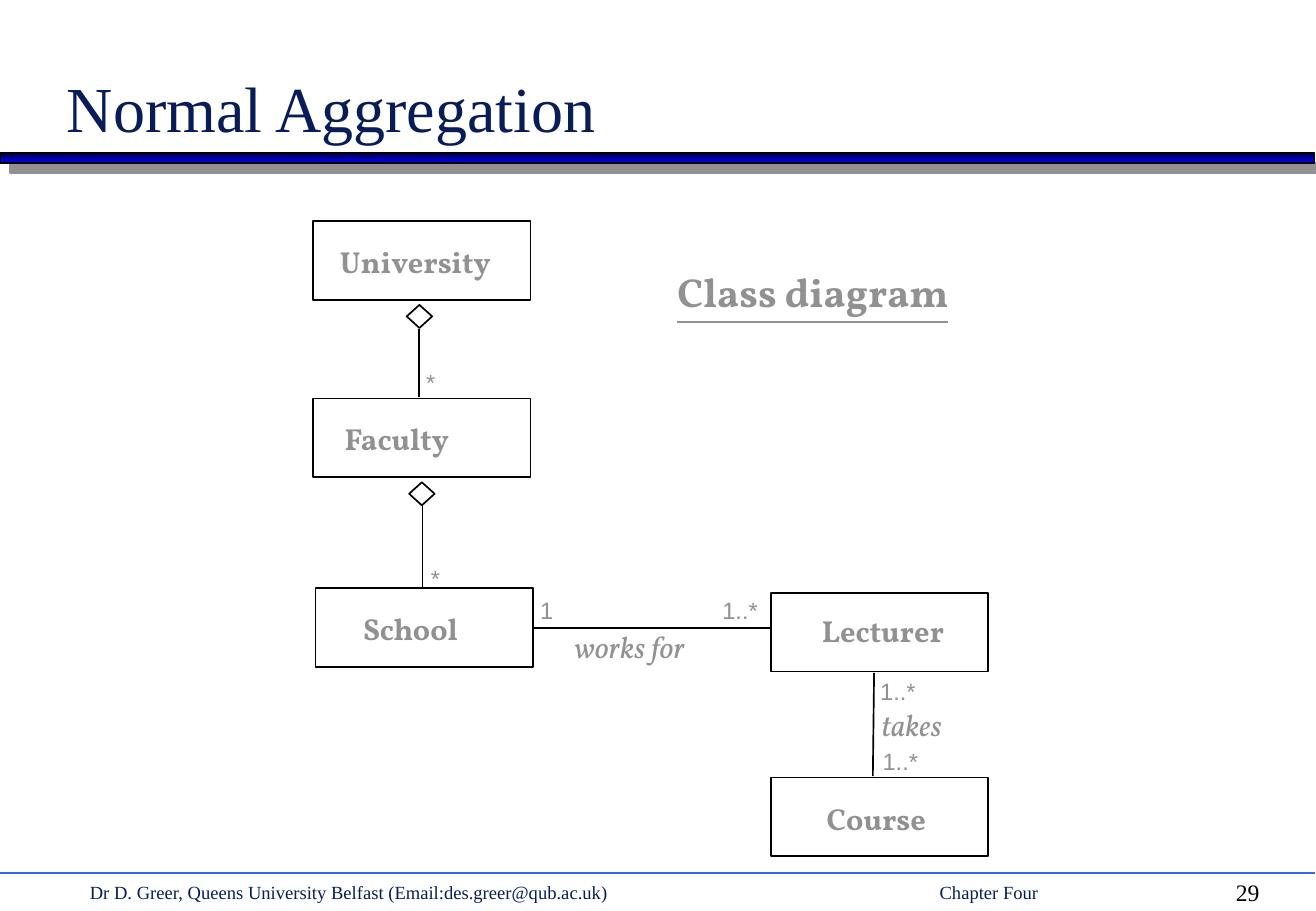
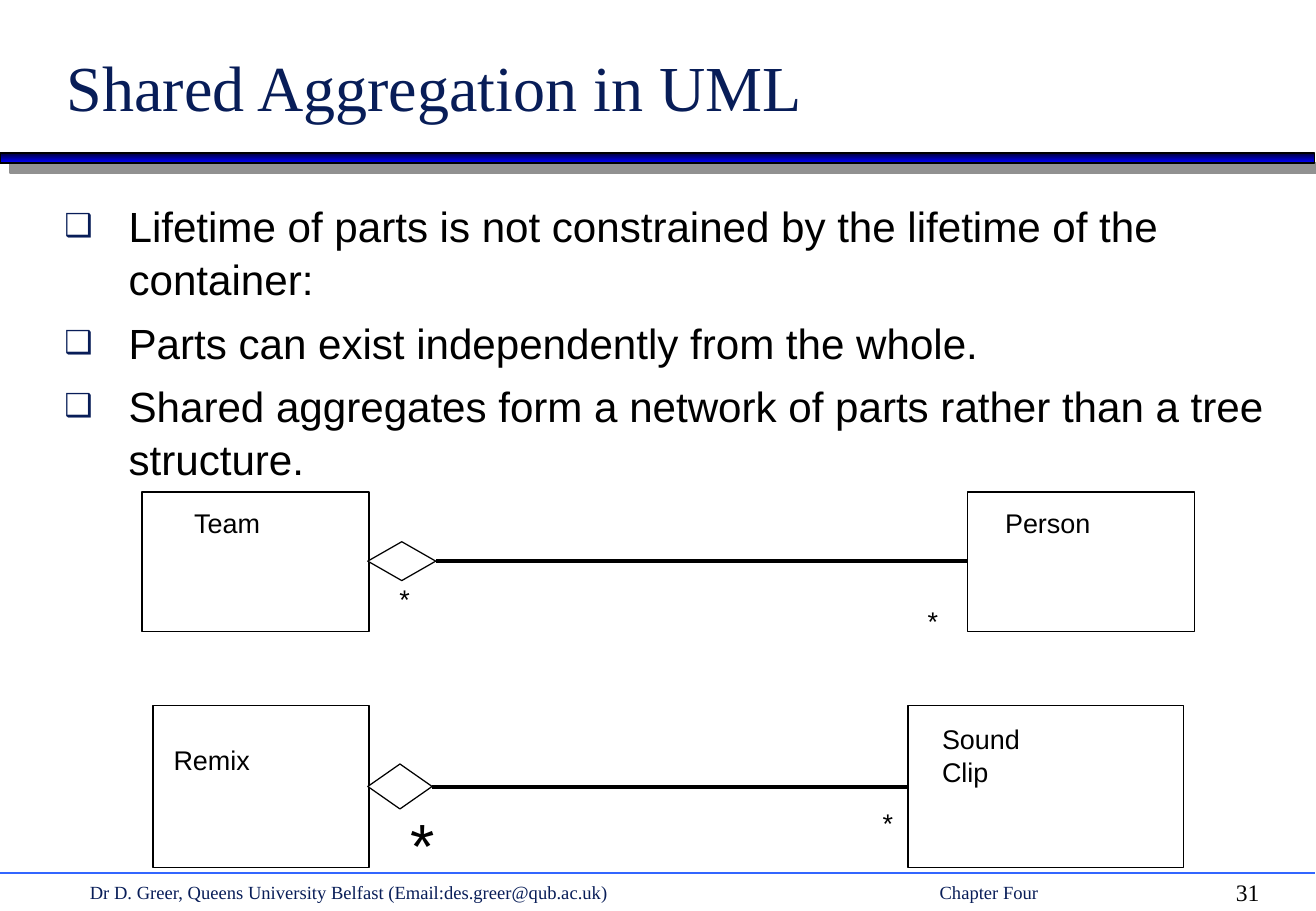
import pptx
import pptx.util
import pptx.dml.color
import pptx.enum.shapes
import pptx.enum.text
import pptx.oxml
import pptx.oxml.ns

PX = 9144  # EMU in one px, 100 px to the inch
SIZE = (1084, 750)
HUE = {"navy": "081D58", "grey": "919191", "black": "000000", "white": "FFFFFF",
       "dusk": "000036", "blue": "0000FF", "rule": "3366FF"}
KIND = pptx.enum.shapes.MSO_SHAPE
ANCHOR = pptx.enum.text.MSO_ANCHOR

# Text styles: font, size, colour, extras
STYLE = {
    "title": ("Times New Roman", 38, "navy", ""),
    "foot": ("Times New Roman", 11, "navy", ""),
    "page": ("Times New Roman", 14, "black", ""),
    "body": ("Arial", 25, "black", ""),
    "head": ("Vollkorn", 24, "grey", "bu"),
    "class": ("Vollkorn", 18, "grey", "b"),
    "role": ("Vollkorn", 18, "grey", "i"),
    "count": ("Arial", 14, "grey", ""),
    "plain": ("Arial", 16, "black", ""),
    "star": ("Arial", 37, "black", ""),
}

FOOT = [("Dr D. Greer, Queens University Belfast (Email:des.greer@qub.ac.uk)", 74),
        ("Chapter Four", 774)]

# boxes: text, frame, text offset; gems: frame; lines: from, to;
# notes: text, style, frame
SLIDES = [
    {
        "title": "Normal Aggregation", "frame": (45, 0, 921, 125), "page": "29",
        "style": "class", "weight": 1, "fill": "white",
        "boxes": [
            ("University", (258, 182, 179, 65), (22, 18)),
            ("Faculty", (258, 328, 179, 65), (26, 18)),
            ("School", (260, 484, 179, 65), (39, 18)),
            ("Lecturer", (635, 488, 179, 65), (42, 16)),
            ("Course", (635, 640, 179, 65), (46, 19)),
        ],
        "gems": [(335, 251, 21, 19), (337, 397, 21, 19)],
        "lines": [(345, 271, 345, 327), (348, 417, 348, 483),
                  (440, 517, 634, 517), (720, 554, 719, 639)],
        "notes": [
            ("Class diagram", "head", (558, 220, 238, 40)),
            ("*", "count", (351, 303, 8, 23)),
            ("*", "count", (355, 464, 8, 23)),
            ("1", "count", (445, 491, 11, 23)),
            ("1..*", "count", (595, 491, 29, 23)),
            ("works for", "role", (473, 517, 113, 30)),
            ("1..*", "count", (725, 557, 29, 23)),
            ("takes", "role", (726, 581, 62, 30)),
            ("1..*", "count", (727, 615, 29, 23)),
        ],
    },
    {
        "title": "Shared Aggregation in UML", "frame": (45, 29, 925, 78), "page": "31",
        "points": [
            "Lifetime of parts is not constrained by the lifetime of the container:",
            "Parts can exist independently from the whole.",
            "Shared aggregates form a network of parts rather than a tree structure.",
        ],
        "style": "plain", "weight": 0, "fill": None,
        "boxes": [
            ("Team", (117, 405, 187, 115), (43, 12)),
            ("Person", (797, 405, 187, 115), (31, 12)),
            ("Remix", (126, 581, 178, 133), (17, 31)),
            ("Sound\nClip", (748, 581, 227, 133), (28, 14)),
        ],
        "gems": [(303, 446, 56, 32), (303, 629, 53, 37)],
        "lines": [(359, 462, 797, 462), (356, 648, 748, 648)],
        "notes": [
            ("*", "plain", (329, 480, 9, 27)),
            ("*", "plain", (764, 498, 9, 27)),
            ("*", "star", (338, 664, 20, 62)),
            ("*", "plain", (727, 664, 9, 27)),
        ],
    },
]


def emu(vals):
    return [v * PX for v in vals]


def rgb(name):
    return pptx.dml.color.RGBColor.from_string(HUE[name])


def node(root, tag, **attrs):
    kid = pptx.oxml.parse_xml("<a:%s %s/>" % (tag, pptx.oxml.ns.nsdecls("a")))
    for key, val in attrs.items():
        kid.set(key, str(val))
    root.append(kid)
    return kid


def write(shape, text, style, inset=(0, 0), anchor=ANCHOR.TOP, wrap=True):
    """Put left-aligned text in a shape, with one named style."""
    font, size, hue, marks = STYLE[style]
    frame = shape.text_frame
    frame.text = text
    frame.auto_size = pptx.enum.text.MSO_AUTO_SIZE.NONE
    frame.word_wrap = wrap
    frame.vertical_anchor = anchor
    frame.margin_left, frame.margin_top = emu(inset)
    frame.margin_right, frame.margin_bottom = emu((0, min(inset[1], 5)))
    for para in frame.paragraphs:
        para.alignment = pptx.enum.text.PP_ALIGN.LEFT
        for run in para.runs:
            run.font.name = font
            run.font.size = pptx.util.Pt(size)
            run.font.color.rgb = rgb(hue)
            run.font.bold = "b" in marks
            run.font.italic = "i" in marks
            run.font.underline = "u" in marks


def note(slide, text, style, frame):
    write(slide.shapes.add_textbox(*emu(frame)), text, style, wrap=False)


def shape(slide, kind, frame, fill, weight):
    item = slide.shapes.add_shape(kind, *emu(frame))
    item.shadow.inherit = False
    if fill:
        item.fill.solid()
        item.fill.fore_color.rgb = rgb(fill)
    else:
        item.fill.background()
    item.line.color.rgb = rgb("black")
    item.line.width = pptx.util.Pt(weight)
    return item


def line(slide, ends, hue, weight):
    link = slide.shapes.add_connector(
        pptx.enum.shapes.MSO_CONNECTOR.STRAIGHT, *emu(ends))
    link.line.color.rgb = rgb(hue)
    link.line.width = pptx.util.Pt(weight)
    node(link._element.spPr, "effectLst")


def frame_up(slide, page):
    """Draw the band and the footer that every slide carries."""
    band = shape(slide, KIND.RECTANGLE, (0, 126, 1083, 8), "blue", 1)
    band.fill.gradient()
    band.fill.gradient_angle = 270
    for stop, hue in zip(band.fill.gradient_stops, ("dusk", "blue")):
        stop.color.rgb = rgb(hue)
    glow = band._element.spPr.find(pptx.oxml.ns.qn("a:effectLst"))
    cast = node(glow, "outerShdw", dist=pptx.util.Pt(8.5), dir=45 * 60000,
                algn="ctr", rotWithShape=0)
    node(cast, "srgbClr", val=HUE["grey"])
    line(slide, (0, 719, 1083, 719), "rule", 1)
    for text, left in FOOT:
        note(slide, text, "foot", (left, 725, 440, 20))
    note(slide, page, "page", (1018, 723, 38, 24))


def place(item, frame):
    item.left, item.top, item.width, item.height = emu(frame)


def list_up(body, points):
    """Fill the body placeholder with bulleted points."""
    place(body, (43, 158, 999, 535))
    write(body, "\n".join(points), "body", (10, 5))
    for rank, para in enumerate(body.text_frame.paragraphs):
        props = para._p.get_or_add_pPr()
        props.set("marL", str(53 * PX))
        props.set("indent", str(-53 * PX))
        node(node(props, "buClr"), "srgbClr", val=HUE["navy"])
        node(props, "buSzPct", val=75000)
        node(props, "buChar", char="❑")
        para.line_spacing = 1.05
        para.space_before = pptx.util.Pt(6.2 if rank else 0)


def build(deck, data):
    points = data.get("points")
    slide = deck.slides.add_slide(deck.slide_layouts[1 if points else 5])
    frame_up(slide, data["page"])
    place(slide.shapes.title, data["frame"])
    write(slide.shapes.title, data["title"], "title", (10, 5), ANCHOR.BOTTOM)
    if points:
        list_up(slide.placeholders[1], points)
    for text, frame, inset in data["boxes"]:
        box = shape(slide, KIND.RECTANGLE, frame, data["fill"], data["weight"])
        write(box, text, data["style"], inset)
    for ends in data["lines"]:
        line(slide, ends, "black", data["weight"])
    for frame in data["gems"]:
        shape(slide, KIND.DIAMOND, frame, "white", data["weight"])
    for text, style, frame in data["notes"]:
        note(slide, text, style, frame)


def main():
    deck = pptx.Presentation()
    deck.slide_width, deck.slide_height = emu(SIZE)
    for data in SLIDES:
        build(deck, data)
    deck.save("out.pptx")


if __name__ == "__main__":
    main()
